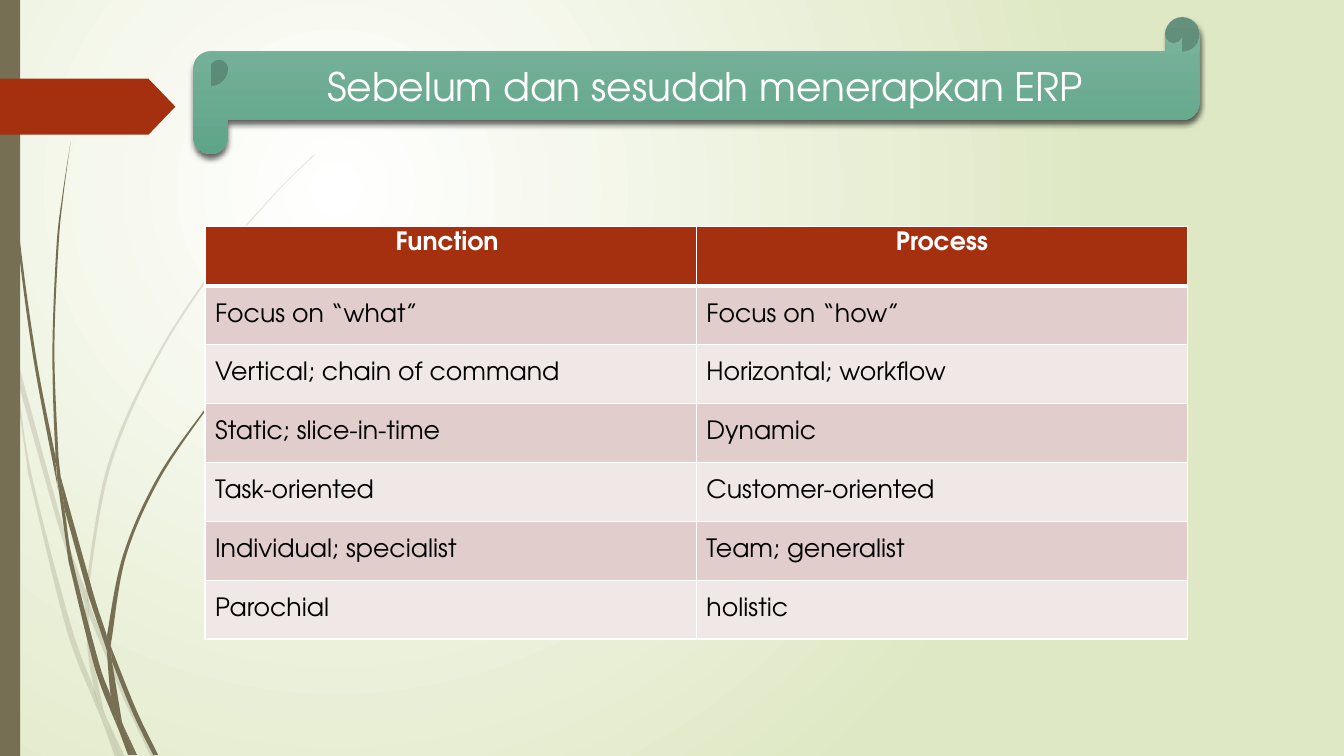
from lxml.etree import SubElement as add_element
from pptx import Presentation
from pptx.dml.color import RGBColor
from pptx.enum.shapes import MSO_SHAPE as Preset
from pptx.enum.text import MSO_ANCHOR as Anchor, PP_ALIGN as Align
from pptx.oxml import parse_xml
from pptx.oxml.ns import nsdecls, qn
from pptx.util import Pt

FONT = "TeX Gyre Adventor"
OLIVE = "766F54"
RUST = "A53010"
WHITE = "FFFFFF"
BLADE_UNIT = 0.72

PALE_BLADES = [
    ([(0, 282), (9, 322), (11, 350)], [(10, 344), (0, 299)]),
    ([(14, 345), (62, 520), (85, 586)], [(84, 599), (58, 522), (17, 376)]),
    ([(88, 596), (92, 607), (127, 692), (155, 751)], [(150, 751), (123, 694), (88, 610)]),
    ([(105, 711), (124, 751)], [(119, 751)]),
    ([(11, 350), (17, 376), (31, 469), (70, 619), (93, 683), (99, 707), (101, 714)],
     [(92, 693), (65, 621), (28, 470)]),
    ([(84, 599), (87, 646), (93, 683), (96, 692), (105, 711)],
     [(103, 706), (91, 646), (88, 610), (88, 608)]),
    ([(312, 153), (289, 175), (268, 197), (228, 244), (158, 348), (107, 461), (85, 584),
      (85, 586)],
     [(88, 596), (88, 584), (110, 462), (160, 349), (229, 245), (268, 198), (290, 175),
      (312, 154)]),
    ([(101, 714), (119, 751)], [(114, 751)]),
    ([(85, 586), (88, 596), (88, 610)], [(88, 608), (84, 599)]),
    ([(93, 683), (96, 692), (105, 711), (119, 751)], [(101, 714), (99, 707)]),
]
DARK_BLADES = [
    ([(3, 0), (4, 48), (7, 110), (17, 233), (33, 355), (56, 477), (57, 481)],
     [(55, 457), (55, 453), (36, 355), (19, 232), (8, 109), (5, 48), (4, 0)]),
    ([(60, 472), (93, 590), (106, 631), (106, 645)], [(88, 592), (64, 505)]),
    ([(110, 641), (113, 649), (136, 706), (157, 749)], [(152, 749), (132, 708), (111, 656)]),
    ([(57, 477), (64, 505), (72, 556), (98, 657), (110, 691), (116, 717), (117, 722)],
     [(111, 708), (93, 659), (68, 557)]),
    ([(70, 141), (62, 193), (56, 245), (52, 349), (55, 449), (60, 472)],
     [(58, 453), (54, 349), (58, 245), (63, 193), (70, 141)]),
    ([(122, 719), (136, 749)], [(133, 749)]),
    ([(55, 449), (60, 472), (64, 505)], [(57, 477), (55, 453)]),
    ([(260, 344), (245, 358), (231, 373), (204, 405), (156, 474), (122, 551), (106, 631)],
     [(110, 641), (111, 633), (125, 552), (158, 476), (205, 406), (231, 374), (245, 359),
      (261, 344)]),
    ([(117, 722), (131, 749)], [(127, 749)]),
    ([(106, 645), (110, 691), (116, 706), (122, 719)],
     [(121, 716), (111, 656), (109, 651)]),
    ([(106, 631), (110, 641), (111, 656)], [(109, 651), (106, 645)]),
    ([(110, 691), (116, 706), (122, 719), (133, 749)], [(130, 749), (117, 722), (116, 717)]),
]
COMPARISON = [
    ("Function ", "Process"),
    ("Focus on “what”", "Focus on “how”"),
    ("Vertical; chain of command", "Horizontal; workflow"),
    ("Static; slice-in-time", "Dynamic"),
    ("Task-oriented", "Customer-oriented"),
    ("Individual; specialist", "Team; generalist"),
    ("Parochial", "holistic"),
]


def color(value):
    """Turn a hex string into a colour."""
    return RGBColor.from_string(value)


def paint(shape, fill, opacity=100):
    """Give a shape a flat fill with no line or shadow."""
    shape.shadow.inherit = False
    shape.line.fill.background()
    shape.fill.solid()
    shape.fill.fore_color.rgb = color(fill)
    if opacity < 100:
        srgb = next(shape.element.spPr.iter(qn("a:srgbClr")))
        add_element(srgb, qn("a:alpha"), val=str(opacity * 1000))


def set_gradient(fill, colors, angle=0):
    """Fill with a two-colour gradient."""
    fill.gradient()
    fill.gradient_angle = angle
    for position, (stop, value) in enumerate(zip(fill.gradient_stops, colors)):
        stop.color.rgb = color(value)
        stop.position = position


def write(paragraph, text, size, fill, bold=False, align=Align.LEFT):
    """Add one formatted run to a paragraph."""
    paragraph.alignment = align
    run = paragraph.add_run()
    run.text = text
    run.font.name = FONT
    run.font.size = Pt(size)
    run.font.bold = bold
    run.font.color.rgb = color(fill)


def bend_edge(corners):
    """Turn the straight segments between an edge's corners into smooth curves."""
    points = [(int(corner.get("x")), int(corner.get("y"))) for corner in corners]
    padded = [points[0], *points, points[-1]]
    for corner, a, b, c, d in zip(corners[1:], padded, padded[1:], padded[2:], padded[3:]):
        controls = [[q + (r - p) / 6 for p, q, r in zip(a, b, c)],
                    [r - (s - q) / 6 for q, r, s in zip(b, c, d)], c]
        segment = corner.getparent()
        curve = add_element(segment.getparent(), qn("a:cubicBezTo"))
        for x, y in controls:
            add_element(curve, qn("a:pt"), x=str(round(x)), y=str(round(y)))
        segment.getparent().replace(segment, curve)


def add_background(slide):
    """Light the slide from a glow in its upper left quarter."""
    set_gradient(slide.background.fill, [WHITE, "DFE8C4"])
    gradient = next(slide.element.iter(qn("a:gradFill")))
    glow = parse_xml(
        f'<a:path {nsdecls("a")} path="circle">'
        '<a:fillToRect l="50000" t="50000" r="100000" b="100000"/></a:path>')
    gradient.replace(gradient.find(qn("a:lin")), glow)


def add_grass(slide, left, top, blades, opacity):
    """Draw blade pieces, each from its outward and its returning edge."""
    for outward, returning in blades:
        outline = [(x * Pt(BLADE_UNIT), y * Pt(BLADE_UNIT)) for x, y in outward + returning]
        builder = slide.shapes.build_freeform(*outline[0])
        builder.add_line_segments(outline[1:], close=True)
        piece = builder.convert_to_shape(Pt(left), Pt(top))
        corners = list(piece.element.spPr.iter(qn("a:pt")))[:len(outline)]
        bend_edge(corners[:len(outward)])
        bend_edge(corners[len(outward):])
        paint(piece, OLIVE, opacity)


def add_side_decoration(slide, left, top, height):
    """Draw the grass, the side bar and the pointer."""
    add_grass(slide, left, top, PALE_BLADES, 20)
    add_grass(slide, left, top, DARK_BLADES, 100)
    bar = slide.shapes.add_shape(Preset.RECTANGLE, Pt(left), Pt(top), Pt(14.4), Pt(height))
    paint(bar, OLIVE)
    pointer = slide.shapes.add_shape(
        Preset.PENTAGON, Pt(left), Pt(top + 56.2), Pt(125.3), Pt(40))
    pointer.adjustments[0] = 0.48
    paint(pointer, RUST)


def add_heading_scroll(slide, left, top, width, height):
    """Draw the heading on a green scroll with a soft shadow."""
    scroll = slide.shapes.add_shape(
        Preset.HORIZONTAL_SCROLL, Pt(left), Pt(top), Pt(width), Pt(height))
    scroll.adjustments[0] = 0.25
    set_gradient(scroll.fill, ["7DB59D", "5EA588"], 270)
    scroll.line.fill.background()
    scroll.element.spPr.append(parse_xml(
        f'<a:effectLst {nsdecls("a")}><a:outerShdw blurRad="{Pt(4)}" dist="{Pt(3)}" '
        'dir="5400000" rotWithShape="0"><a:srgbClr val="000000"><a:alpha val="60000"/>'
        '</a:srgbClr></a:outerShdw></a:effectLst>'))
    frame = scroll.text_frame
    frame.word_wrap = True
    frame.vertical_anchor = Anchor.MIDDLE
    write(frame.paragraphs[0], "Sebelum dan sesudah menerapkan ERP", 28, WHITE,
          align=Align.CENTER)


def set_borders(cell, bottom):
    """Rule a cell in white, with its own bottom width."""
    properties = cell._tc.get_or_add_tcPr()
    for index, (side, width) in enumerate(zip("LRTB", (1, 1, 1, bottom))):
        properties.insert(index, parse_xml(
            f'<a:ln{side} {nsdecls("a")} w="{Pt(width)}"><a:solidFill>'
            f'<a:srgbClr val="{WHITE}"/></a:solidFill></a:ln{side}>'))


def add_comparison(slide, left, top, width, height):
    """Build the banded table that sets function against process."""
    table = slide.shapes.add_table(
        len(COMPARISON), 2, Pt(left), Pt(top), Pt(width), Pt(height)).table
    for row_index, texts in enumerate(COMPARISON):
        header = row_index == 0
        band = RUST if header else ("F0E8E7", "E1CDCC")[row_index % 2]
        for cell, text in zip(table.rows[row_index].cells, texts):
            cell.fill.solid()
            cell.fill.fore_color.rgb = color(band)
            cell.vertical_anchor = Anchor.TOP if header else Anchor.MIDDLE
            set_borders(cell, 3 if header else 1)
            write(cell.text_frame.paragraphs[0], text, 18, WHITE if header else "000000",
                  header, Align.CENTER if header else Align.LEFT)


def main():
    """Build and save the slide."""
    presentation = Presentation()
    presentation.slide_width, presentation.slide_height = Pt(960), Pt(540)
    slide = presentation.slides.add_slide(presentation.slide_layouts[6])
    add_background(slide)
    add_side_decoration(slide, 0, 0, 540)
    add_heading_scroll(slide, 138.2, 12.2, 718.6, 98)
    add_comparison(slide, 146.4, 162, 702, 294.5)
    presentation.save("out.pptx")


if __name__ == "__main__":
    main()
